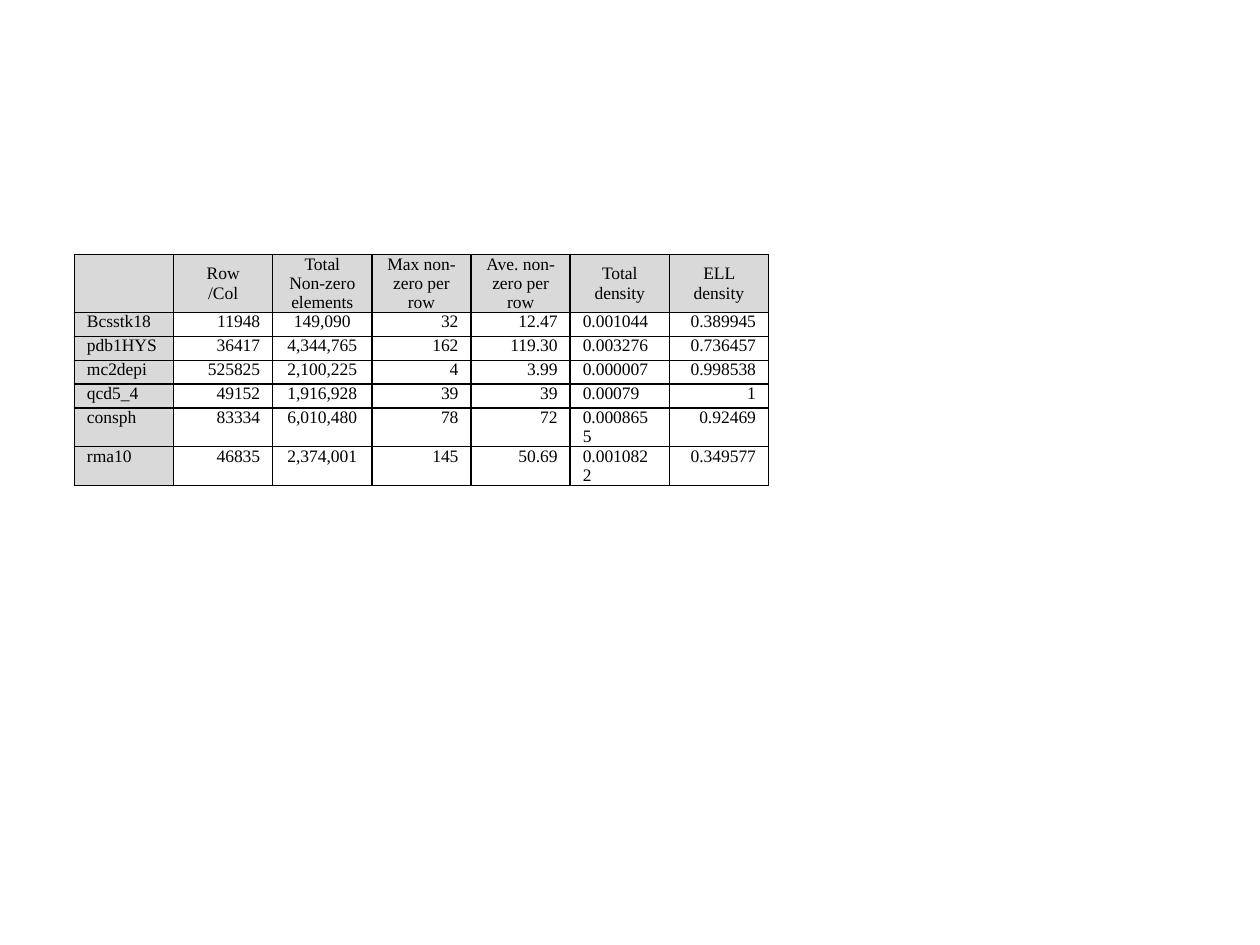
import pptx
import pptx.util
import pptx.dml.color
import pptx.enum.text
import pptx.oxml
import pptx.oxml.ns

Inches = pptx.util.Inches
Pt = pptx.util.Pt
ALIGN = pptx.enum.text.PP_ALIGN
ANCHOR = pptx.enum.text.MSO_ANCHOR
BLACK = pptx.dml.color.RGBColor(0x00, 0x00, 0x00)
GREY = pptx.dml.color.RGBColor(0xD9, 0xD9, 0xD9)

HEADS = ["", "Row\n/Col", "Total Non-zero elements", "Max non-zero per row",
         "Ave. non-zero per row", "Total density", "ELL density"]
ROWS = [
    ["Bcsstk18", "11948", "149,090", "32", "12.47", "0.001044", "0.389945"],
    ["pdb1HYS", "36417", "4,344,765", "162", "119.30", "0.003276", "0.736457"],
    ["mc2depi", "525825", "2,100,225", "4", "3.99", "0.000007", "0.998538"],
    ["qcd5_4", "49152", "1,916,928", "39", "39", "0.00079", "1"],
    ["consph", "83334", "6,010,480", "78", "72", "0.0008655", "0.92469"],
    ["rma10", "46835", "2,374,001", "145", "50.69", "0.0010822", "0.349577"],
]
SIDES = [ALIGN.LEFT, ALIGN.RIGHT, ALIGN.CENTER, ALIGN.RIGHT,
         ALIGN.RIGHT, ALIGN.LEFT, ALIGN.RIGHT]


class Page:
    """Holds the style and the current slide, and adds elements to it."""

    def __init__(self, slide, font, size, ink, shade):
        self.slide = slide
        self.font = font
        self.size = size
        self.ink = ink
        self.shade = shade

    def table(self, left, top, width, heads, rows, sides, tall, low):
        data = [heads] + rows
        count = len(heads)
        high = tall + low * len(rows)
        frame = self.slide.shapes.add_table(len(data), count, left, top, width, high)
        grid = frame.table
        for col in grid.columns:
            col.width = width // count
        for y, line in enumerate(data):
            grid.rows[y].height = low if y else tall
            for x, text in enumerate(line):
                side = sides[x] if y else ALIGN.CENTER
                self.cell(grid.cell(y, x), text, side, y == 0, x == 0 or y == 0)

    def cell(self, cell, text, side, head, shaded):
        cell.margin_left = cell.margin_right = Inches(0.1)
        cell.margin_top = cell.margin_bottom = 0
        cell.vertical_anchor = ANCHOR.MIDDLE if head else ANCHOR.TOP
        cell.text_frame.text = text
        for para in cell.text_frame.paragraphs:
            para.alignment = side
            for run in para.runs:
                run.font.name = self.font
                run.font.size = self.size
                run.font.bold = False
                run.font.color.rgb = self.ink
        self.border(cell)
        if shaded:
            cell.fill.solid()
            cell.fill.fore_color.rgb = self.shade
        else:
            cell.fill.background()

    def border(self, cell):
        props = cell._tc.get_or_add_tcPr()
        for spot, tag in enumerate(("lnL", "lnR", "lnT", "lnB")):
            props.insert(spot, pptx.oxml.parse_xml(
                f'<a:{tag} {pptx.oxml.ns.nsdecls("a")} w="{Pt(1)}"><a:solidFill>'
                f'<a:srgbClr val="{self.ink}"/></a:solidFill></a:{tag}>'))


deck = pptx.Presentation()
deck.slide_width = Inches(10)
deck.slide_height = Inches(7.5)
page = Page(deck.slides.add_slide(deck.slide_layouts[6]),
            "Times New Roman", Pt(10), BLACK, GREY)
page.table(Inches(0.59), Inches(2.02), Inches(5.51), HEADS, ROWS, SIDES,
           Inches(0.37), Inches(0.19))
deck.save("out.pptx")
